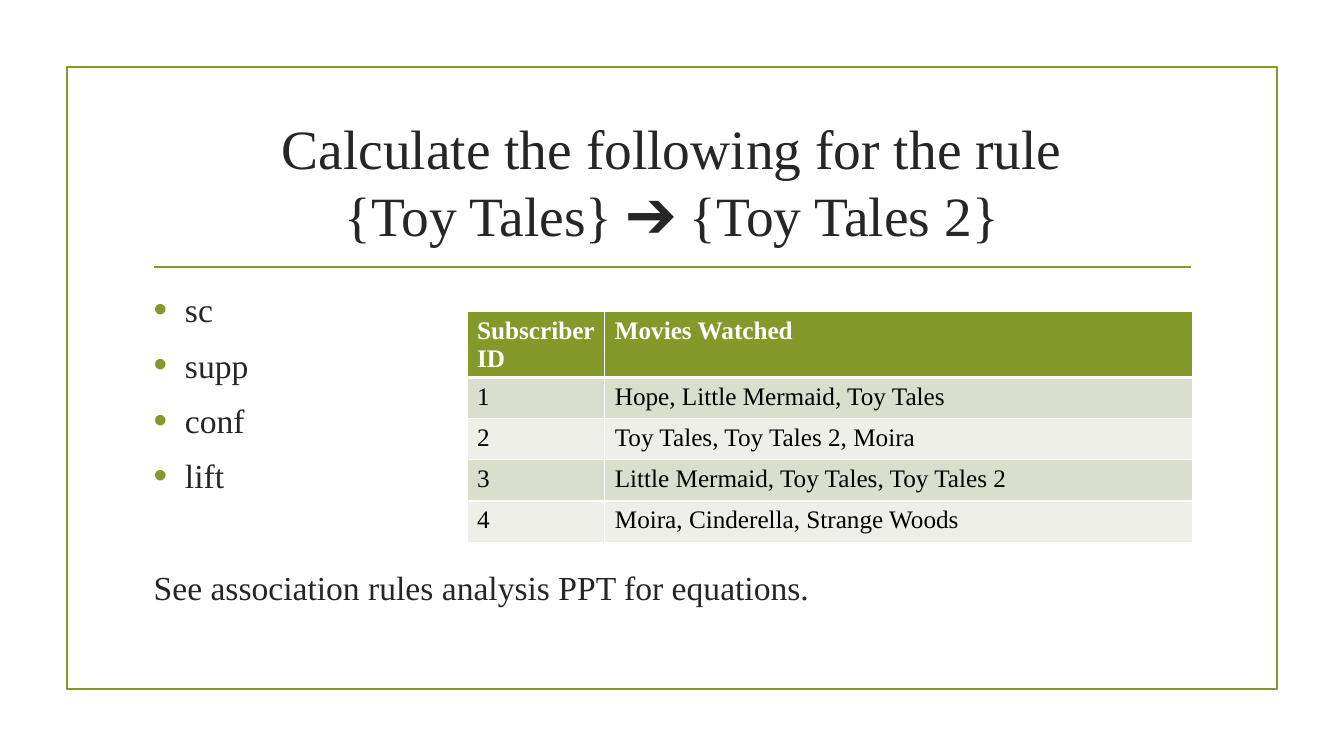
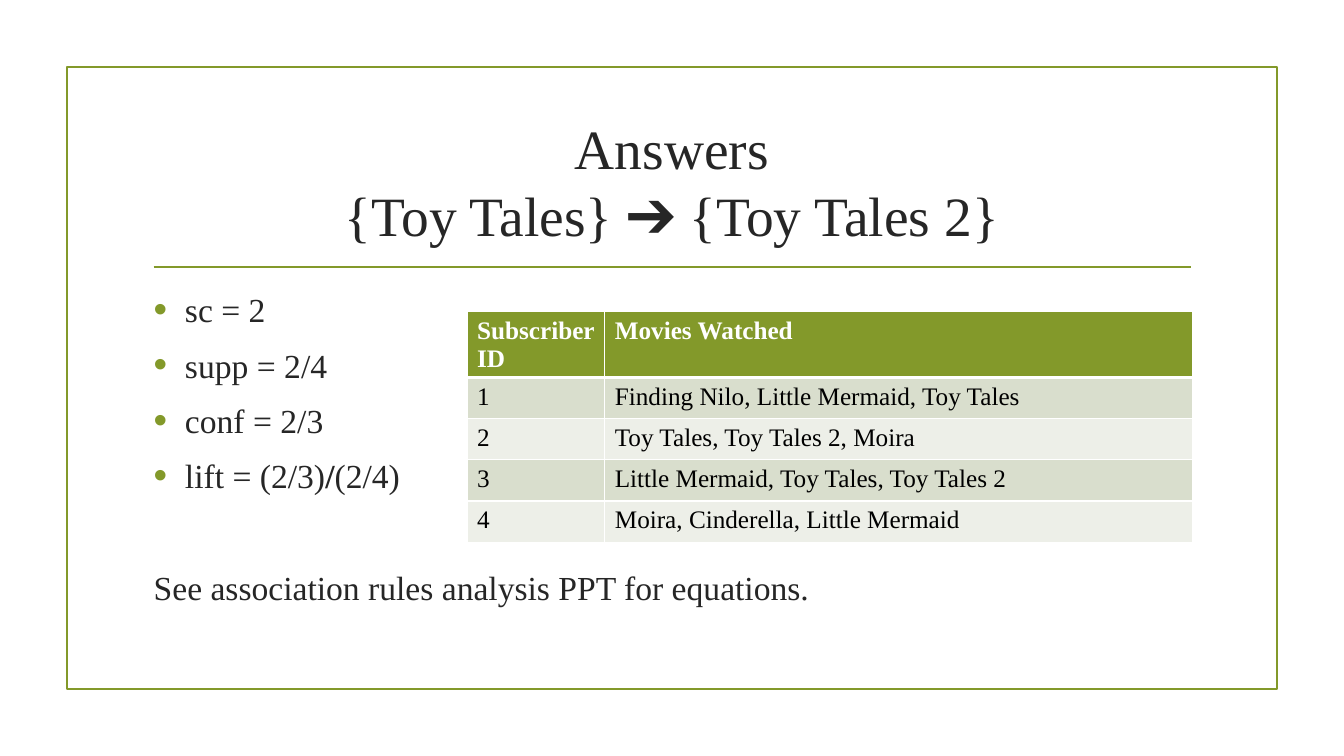
from dataclasses import dataclass

from lxml.etree import SubElement as sub
from pptx import Presentation
from pptx.dml.color import RGBColor as RGB
from pptx.enum.shapes import MSO_CONNECTOR as Link, MSO_SHAPE as Form
from pptx.enum.text import MSO_ANCHOR as Anchor, MSO_AUTO_SIZE as Fit, PP_ALIGN as Align
from pptx.oxml.ns import qn
from pptx.slide import Slide
from pptx.util import Inches, Pt

# Shared look
FONT = "Times New Roman"
GREEN = RGB(0x83, 0x99, 0x2A)
INK = RGB(0x26, 0x26, 0x26)
BLACK = RGB(0, 0, 0)
WHITE = RGB(0xFF, 0xFF, 0xFF)
BANDS = (RGB(0xD9, 0xDE, 0xCD), RGB(0xED, 0xEF, 0xE8))

# Grid of 160 columns by 90 rows
WIDTH, HEIGHT = Inches(13.33), Inches(7.5)
COLS, ROWS = 160, 90


@dataclass(frozen=True)
class Box:
    left: float
    top: float
    width: float
    height: float

    def place(self) -> tuple[int, int, int, int]:
        return (across(self.left), down(self.top),
                across(self.width), down(self.height))


@dataclass(frozen=True)
class Page:
    title: str
    points: tuple[str, ...]  # text between bars is bold
    films: tuple[str, ...]


FRAME = Box(8, 8, 144, 74)
TITLE = Box(17, 12.9, 126, 17.2)
BODY = Box(17.1, 33.8, 125, 48.6)
TABLE = Box(55.6, 37.1, 86.4, 27.2)
RULE_LEFT, RULE_RIGHT, RULE_TOP = 18.3, 141.8, 31.8
ID_COL, HEAD_ROW, DATA_ROW = 16.4, 7.6, 4.9

HEADS = ("Subscriber ID", "Movies Watched")
RULE_TEXT = "{Toy Tales} ➔ {Toy Tales 2}"
NOTE = "See association rules analysis PPT for equations."
PAGES = (
    Page("Calculate the following for the rule",
         ("sc", "supp", "conf", "lift"),
         ("Hope, Little Mermaid, Toy Tales",
          "Toy Tales, Toy Tales 2, Moira",
          "Little Mermaid, Toy Tales, Toy Tales 2",
          "Moira, Cinderella, Strange Woods")),
    Page("Answers",
         ("sc = 2", "supp = 2/4", "conf = 2/3", "lift = (2/3)|/|(2/4)"),
         ("Finding Nilo, Little Mermaid, Toy Tales",
          "Toy Tales, Toy Tales 2, Moira",
          "Little Mermaid, Toy Tales, Toy Tales 2",
          "Moira, Cinderella, Little Mermaid")),
)


def across(cols: float) -> int:
    return round(WIDTH * cols / COLS)


def down(rows: float) -> int:
    return round(HEIGHT * rows / ROWS)


def style(para, size: float, color: RGB, bold: bool = False) -> None:
    for run in para.runs:
        font = run.font
        font.name, font.size, font.bold = FONT, Pt(size), bold
        font.color.rgb = color


def move(shape, box: Box) -> None:
    shape.left, shape.top, shape.width, shape.height = box.place()


def bullet(para, shown: bool) -> None:
    props = para._p.get_or_add_pPr()
    indent = Inches(0.31) if shown else 0
    props.set("marL", str(indent))
    props.set("indent", str(-indent))
    if not shown:
        sub(props, qn("a:buNone"))
        return
    tint = sub(props, qn("a:buClr"))
    sub(tint, qn("a:srgbClr"), val=str(GREEN))
    sub(props, qn("a:buSzPct"), val="115000")
    sub(props, qn("a:buFont"), typeface="Arial")
    sub(props, qn("a:buChar"), char="•")


# Frame and rule behind every page
def draw_frame(slide: Slide) -> None:
    frame = slide.shapes.add_shape(Form.RECTANGLE, *FRAME.place())
    frame.shadow.inherit = False
    frame.fill.background()
    rule = slide.shapes.add_connector(
        Link.STRAIGHT, across(RULE_LEFT), down(RULE_TOP),
        across(RULE_RIGHT), down(RULE_TOP))
    sub(rule._element.spPr, qn("a:effectLst"))
    for shape in (frame, rule):
        shape.line.color.rgb = GREEN
        shape.line.width = Pt(1.25)


def draw_title(slide: Slide, text: str) -> None:
    title = slide.shapes.title
    move(title, TITLE)
    frame = title.text_frame
    frame.text = f"{text}\v{RULE_TEXT}"
    frame.auto_size = Fit.NONE
    frame.vertical_anchor = Anchor.MIDDLE
    para = frame.paragraphs[0]
    para.alignment = Align.CENTER
    style(para, 39.6, INK)


# Bullets, then the note set apart by its spacing
def draw_list(slide: Slide, points: tuple[str, ...]) -> None:
    body = slide.placeholders[1]
    move(body, BODY)
    frame = body.text_frame
    lines = (*points, NOTE)
    frame.text = "\n".join(line.split("|")[0] for line in lines)
    frame.auto_size = Fit.NONE
    for para, line in zip(frame.paragraphs, lines):
        listed = line != NOTE
        for part in line.split("|")[1:]:
            para.add_run().text = part
        para.space_before = Pt(4.8 if listed else 44.6)
        para.space_after = Pt(6)
        bullet(para, listed)
        style(para, 24, INK)
        for run in para.runs[1::2]:
            run.font.bold = True


def edge(cell, base: float) -> None:
    props = cell._tc.get_or_add_tcPr()
    for side in "LRTB":
        width = base if side == "B" else 1
        line = sub(props, qn(f"a:ln{side}"), w=str(Pt(width)))
        fill = sub(line, qn("a:solidFill"))
        sub(fill, qn("a:srgbClr"), val=str(WHITE))


def draw_table(slide: Slide, films: tuple[str, ...]) -> None:
    data = [HEADS, *((str(n), film) for n, film in enumerate(films, 1))]
    table = slide.shapes.add_table(len(data), len(HEADS), *TABLE.place()).table
    for col, width in zip(table.columns, (ID_COL, TABLE.width - ID_COL)):
        col.width = across(width)
    for r, texts in enumerate(data):
        head = r == 0
        table.rows[r].height = down(HEAD_ROW if head else DATA_ROW)
        for c, text in enumerate(texts):
            cell = table.cell(r, c)
            edge(cell, 3 if head else 1)
            cell.fill.solid()
            cell.fill.fore_color.rgb = GREEN if head else BANDS[(r - 1) % 2]
            cell.text_frame.text = text
            style(cell.text_frame.paragraphs[0], 18,
                  WHITE if head else BLACK, head)


def main() -> None:
    deck = Presentation()
    deck.slide_width, deck.slide_height = WIDTH, HEIGHT
    for page in PAGES:
        slide = deck.slides.add_slide(deck.slide_layouts[1])
        draw_frame(slide)
        draw_title(slide, page.title)
        draw_list(slide, page.points)
        draw_table(slide, page.films)
    deck.save("out.pptx")


if __name__ == "__main__":
    main()
